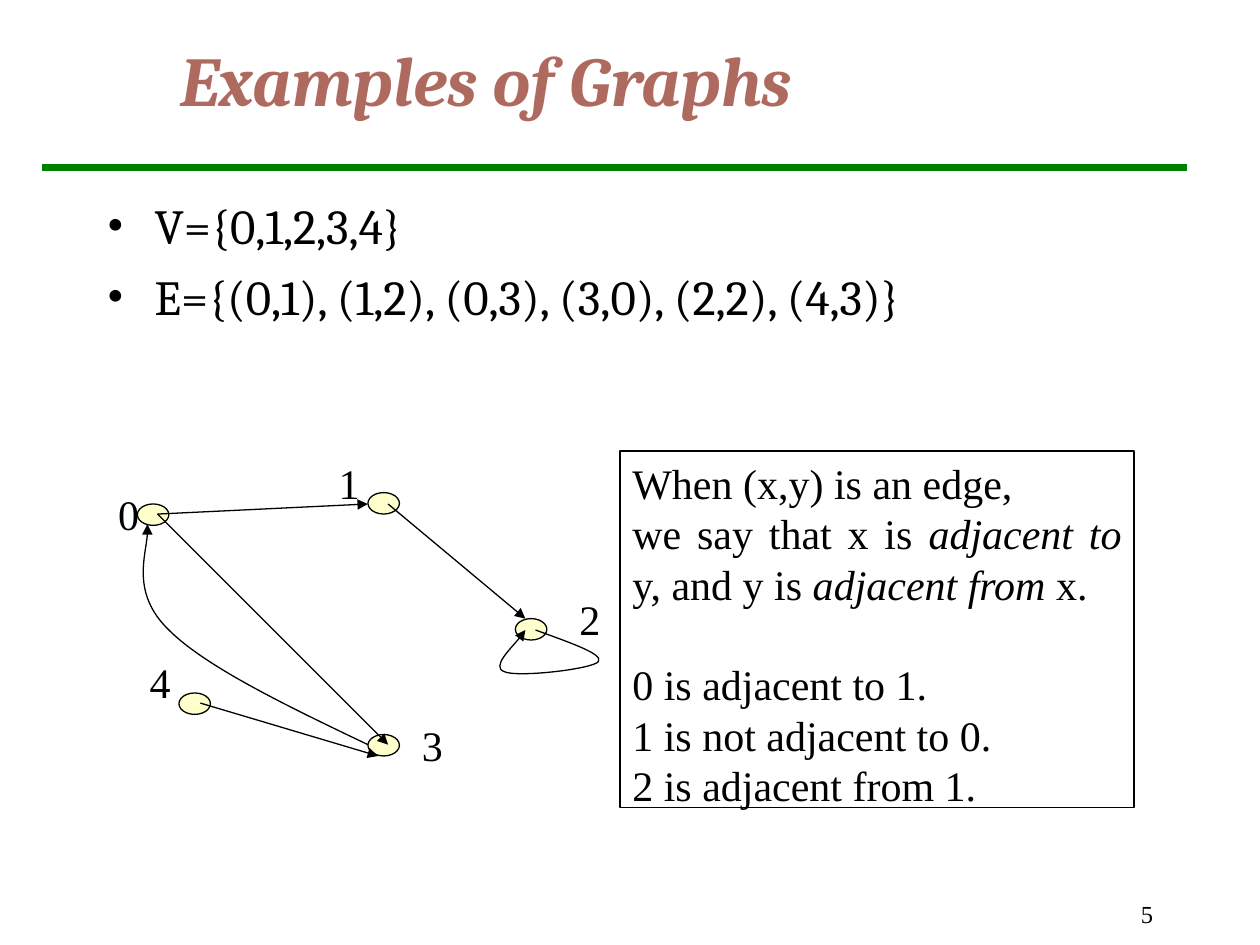
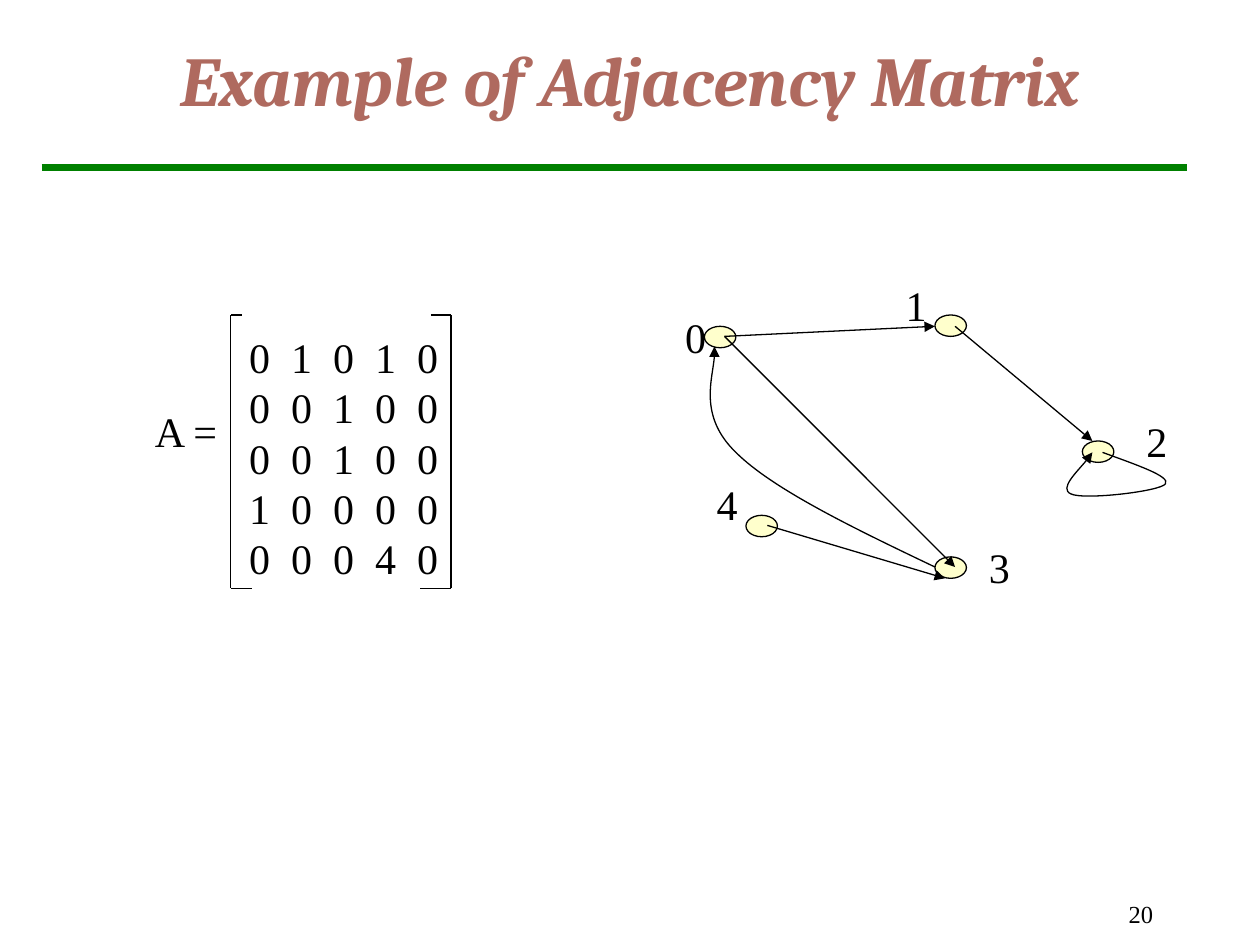
"""Two slides on directed graphs and their adjacency matrix."""
from itertools import pairwise

from lxml import etree
from pptx import Presentation
from pptx.dml.color import RGBColor
from pptx.enum import shapes, text
from pptx.oxml.ns import qn
from pptx.util import Inches, Pt

BLACK = RGBColor(0x00, 0x00, 0x00)
GREEN = RGBColor(0x00, 0x80, 0x00)
CREAM = RGBColor(0xFF, 0xFF, 0xCC)
CLAY = RGBColor(0xAF, 0x6A, 0x5F)

BODY = {"name": "Times New Roman", "size": Pt(24)}
NUMBER = {"name": "Times New Roman", "size": Pt(14)}
BULLET = {"name": "Cambria", "size": Pt(28)}
TITLE = {"name": "Cambria", "size": Pt(40), "bold": True, "italic": True}
LEADING = Pt(28.8)

SETS = ["V={0,1,2,3,4}", "E={(0,1), (1,2), (0,3), (3,0), (2,2), (4,3)}"]
DEFINITION = [
    [("When (x,y) is an edge,", False)],
    [("we say that x is ", False), ("adjacent to", True), (" y, and y is ", False),
     ("adjacent from", True), (" x.", False)],
]
EXAMPLES = ["0 is adjacent to 1.", "1 is not adjacent to 0.", "2 is adjacent from 1."]
MATRIX = ["01010", "00100", "00100", "10000", "00040"]
COLUMN = 1 / 3

NODE = (0.25, 0.17)
NODES = {
    "0": ((0.25, 0.42), (0, 0.25)),
    "4": ((0.58, 1.92), (0.25, 1.58)),
    "3": ((2.08, 2.25), (2.41, 2.08)),
    "2": ((3.25, 1.33), (3.66, 1.08)),
    "1": ((2.08, 0.33), (1.75, 0)),
}
EDGES = [
    ((0.41, 0.5), (2.08, 0.42)),
    ((2.24, 0.42), (3.33, 1.33)),
    ((0.41, 0.5), (2.24, 2.33)),
    ((0.75, 2), (2.16, 2.42)),
]
CURVES = [
    [(3.41, 1.42), (3.68, 1.52), (3.95, 1.61), (3.91, 1.67), (3.87, 1.73),
     (3.26, 1.8), (3.16, 1.75), (3.06, 1.71), (3.3, 1.48), (3.33, 1.42)],
    [(2.08, 2.33), (1.43, 2.02), (0.79, 1.71), (0.5, 1.42), (0.2, 1.13),
     (0.35, 0.73), (0.33, 0.58)],
]
BRACKETS = [
    [(1.92, 2.5), (1.83, 2.5), (1.83, 4.67), (2, 4.67)],
    [(3.42, 2.5), (3.58, 2.5), (3.58, 4.67), (3.33, 4.67)],
]


def style(obj, values):
    for key, value in values.items():
        setattr(obj, key, value)


def add_run(p, words, font, color=BLACK):
    r = p.add_run()
    r.text = words
    style(r.font, font)
    r.font.color.rgb = color


def add_text(slide, box, lines, font, wrap=True, **para):
    sp = slide.shapes.add_textbox(*map(Inches, box))
    tf = sp.text_frame
    tf.word_wrap = wrap
    for i, line in enumerate(lines):
        p = tf.paragraphs[0] if i == 0 else tf.add_paragraph()
        style(p, para)
        for words, italic in [(line, False)] if isinstance(line, str) else line:
            add_run(p, words, {**font, "italic": italic})
    return sp


def outline(sp, color=BLACK, width=0.75, arrow=False):
    sp.line.color.rgb = color
    sp.line.width = Pt(width)
    if arrow:
        etree.SubElement(sp.line._get_or_add_ln(), qn("a:tailEnd"), type="triangle")


def add_line(slide, start, end, **look):
    sp = slide.shapes.add_connector(
        shapes.MSO_CONNECTOR.STRAIGHT, *map(Inches, (*start, *end)))
    outline(sp, **look)
    etree.SubElement(sp._element.spPr, qn("a:effectLst"))


def add_curve(slide, points):
    start, *rest = [(Inches(x), Inches(y)) for x, y in points]
    builder = slide.shapes.build_freeform(*start)
    builder.add_line_segments(rest, close=False)
    sp = builder.convert_to_shape()
    sp.shadow.inherit = False
    sp.fill.background()
    outline(sp, arrow=True)
    segments = list(sp._element.iter(qn("a:lnTo")))
    for i in range(0, len(segments), 3):
        bezier = etree.Element(qn("a:cubicBezTo"))
        segments[i].addprevious(bezier)
        for segment in segments[i:i + 3]:
            bezier.append(segment[0])
            segment.getparent().remove(segment)


def add_graph(slide, left, top):
    def at(point):
        return left + point[0], top + point[1]

    for corner, _ in NODES.values():
        sp = slide.shapes.add_shape(
            shapes.MSO_SHAPE.OVAL, *map(Inches, (*at(corner), *NODE)))
        sp.shadow.inherit = False
        sp.fill.solid()
        sp.fill.fore_color.rgb = CREAM
        outline(sp)
    for name, (_, corner) in NODES.items():
        add_text(slide, (*at(corner), 0.36, 0.5), [name], BODY, wrap=False)
    for start, end in EDGES:
        add_line(slide, at(start), at(end), arrow=True)
    for points in CURVES:
        add_curve(slide, [at(point) for point in points])


def add_slide(prs, title, number):
    slide = prs.slides.add_slide(prs.slide_layouts[5])
    add_line(slide, (0.33, 1.33), (9.42, 1.33), color=GREEN, width=4)
    sp = slide.shapes.title
    style(sp, dict(zip(("left", "top", "width", "height"),
                       map(Inches, (1.33, 0, 8.5, 1.25)))))
    tf = sp.text_frame
    style(tf, {"vertical_anchor": text.MSO_ANCHOR.MIDDLE,
               "auto_size": text.MSO_AUTO_SIZE.NONE})
    p = tf.paragraphs[0]
    p.alignment = text.PP_ALIGN.LEFT
    add_run(p, title, TITLE, CLAY)
    sp = add_text(slide, (7.17, 6.92, 2.08, 0.5), [number], NUMBER,
                  alignment=text.PP_ALIGN.RIGHT)
    sp.text_frame.vertical_anchor = text.MSO_ANCHOR.BOTTOM
    return slide


def add_bullets(slide):
    sp = add_text(slide, (0.75, 1.5, 8.5, 5.35), SETS, BULLET, space_before=Pt(7))
    for p in sp.text_frame.paragraphs:
        pPr = p._p.get_or_add_pPr()
        pPr.set("marL", str(Inches(0.38)))
        pPr.set("indent", str(-Inches(0.38)))
        etree.SubElement(pPr, qn("a:buFont"), typeface="Times New Roman")
        etree.SubElement(pPr, qn("a:buChar"), char="•")


def add_definition(slide):
    sp = add_text(slide, (4.92, 3.58, 4.08, 2.83), DEFINITION + EXAMPLES, BODY,
                  alignment=text.PP_ALIGN.JUSTIFY, line_spacing=LEADING)
    outline(sp)
    sp.text_frame.paragraphs[len(DEFINITION)].space_before = LEADING


def add_matrix(slide):
    rows = ["\t".join(row) for row in MATRIX]
    sp = add_text(slide, (1.88, 2.58, 1.8, 2.1), rows, BODY, line_spacing=LEADING)
    for p in sp.text_frame.paragraphs:
        tabs = etree.SubElement(p._p.get_or_add_pPr(), qn("a:tabLst"))
        for i in range(1, len(MATRIX)):
            etree.SubElement(tabs, qn("a:tab"), pos=str(Inches(i * COLUMN)), algn="l")
    for bracket in BRACKETS:
        for start, end in pairwise(bracket):
            add_line(slide, start, end)
    add_text(slide, (1.13, 3.17, 0.71, 0.5), ["A ="], BODY, wrap=False)


def main():
    prs = Presentation()
    prs.slide_width, prs.slide_height = Inches(10), Inches(7.5)

    slide = add_slide(prs, "Examples of Graphs", "5")
    add_bullets(slide)
    add_graph(slide, 0.84, 3.58)
    add_definition(slide)

    slide = add_slide(prs, "Example of Adjacency Matrix", "20")
    add_graph(slide, 5.34, 2.17)
    add_matrix(slide)

    prs.save("out.pptx")


if __name__ == "__main__":
    main()
